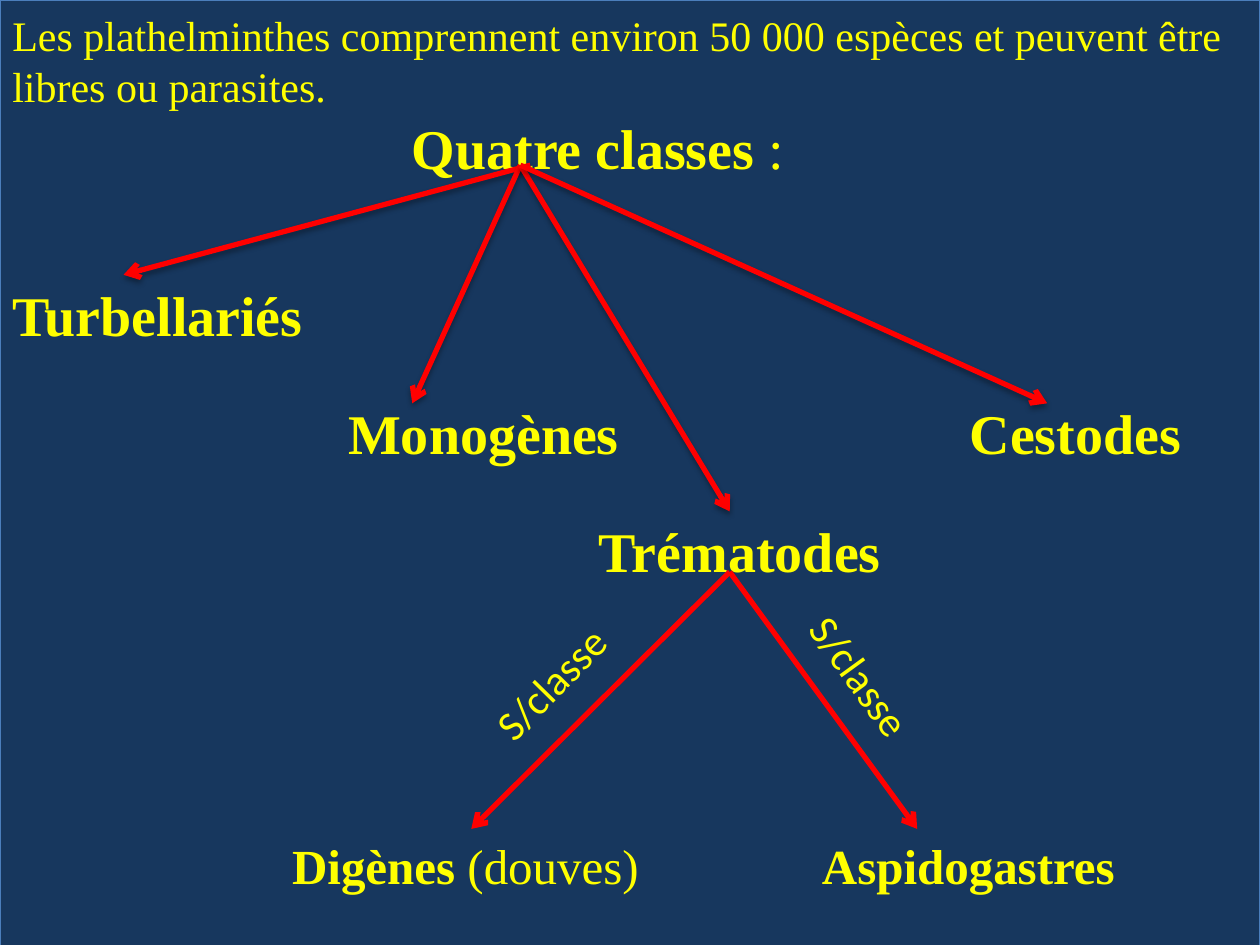
from lxml.etree import SubElement
from pptx import Presentation
from pptx.dml.color import RGBColor
from pptx.enum.shapes import MSO_CONNECTOR, MSO_SHAPE
from pptx.enum.text import MSO_ANCHOR, PP_ALIGN
from pptx.oxml.ns import qn
from pptx.util import Cm, Pt

NAVY, EDGE, RED, YELLOW = "17375E", "4B7EBC", "FF0000", "FFFF00"
SERIF = "Times New Roman"


def paint(color, code):
    color.rgb = RGBColor.from_string(code)


def assign(item, values):
    for name, value in values.items():
        setattr(item, name, value)


class Deck:
    """Holds the text style and the current slide."""

    def __init__(self, prs):
        self.slide = prs.slides.add_slide(prs.slide_layouts[6])
        self.shapes = self.slide.shapes
        fill = self.slide.background.fill
        fill.solid()
        paint(fill.fore_color, NAVY)

    def letter(self, frame, runs, size, face=SERIF):
        """Fill the frame with one paragraph of (text, bold) runs."""
        para = frame.paragraphs[0]
        para.alignment = PP_ALIGN.LEFT
        for text, bold in runs:
            run = para.add_run()
            run.text = text
            assign(run.font, {"size": Pt(size), "bold": bold, "name": face})
            paint(run.font.color, YELLOW)

    def panel(self, width, height, text):
        box = self.shapes.add_shape(MSO_SHAPE.RECTANGLE, 0, 0, width, height)
        box.shadow.inherit = False
        box.fill.solid()
        paint(box.fill.fore_color, NAVY)
        paint(box.line.color, EDGE)
        box.line.width = Pt(0.75)
        assign(box.text_frame, {"word_wrap": True, "margin_top": Cm(0.2),
                                "vertical_anchor": MSO_ANCHOR.TOP})
        self.letter(box.text_frame, [(text, False)], 24)

    def label(self, left, top, width, size, *runs):
        box = self.shapes.add_textbox(Cm(left), Cm(top), Cm(width), Cm(1.3))
        assign(box.text_frame, {"word_wrap": True, "margin_left": 0, "margin_right": 0,
                                "margin_top": 0, "margin_bottom": 0})
        self.letter(box.text_frame, runs, size)

    def tilt(self, left, top, angle, text):
        """Add a rotated caption beside an arrow."""
        box = self.shapes.add_textbox(Cm(left), Cm(top), Cm(3.6), Cm(1.28))
        box.rotation = angle
        box.text_frame.word_wrap = True
        self.letter(box.text_frame, [(text, False)], 24, "Calibri")

    def arrow(self, start, end, shade=False):
        ends = [Cm(value) for value in (*start, *end)]
        link = self.shapes.add_connector(MSO_CONNECTOR.STRAIGHT, *ends)
        link.line.width = Pt(3)
        paint(link.line.color, RED)
        props = link.element.spPr
        SubElement(props.find(qn("a:ln")), qn("a:tailEnd"), type="arrow")
        effects = SubElement(props, qn("a:effectLst"))
        if shade:
            drop = SubElement(effects, qn("a:outerShdw"), blurRad="40000",
                              dist="23000", dir="5400000", rotWithShape="0")
            black = SubElement(drop, qn("a:srgbClr"), val="000000")
            SubElement(black, qn("a:alpha"), val="35000")


def main():
    prs = Presentation()
    assign(prs, {"slide_width": Cm(25.4), "slide_height": Cm(19.05)})
    deck = Deck(prs)
    deck.panel(prs.slide_width, Cm(19.23),
               "Les plathelminthes comprennent environ 50 000 espèces "
               "et peuvent être libres ou parasites.")

    first, step = 5.66, 2.38
    deck.label(8.3, 2.28, 7.8, 32, ("Quatre classes", True), (" :", False))
    for name, left, row, width in (("Turbellariés", 0.25, 0, 6.2),
                                   ("Monogènes", 7.02, 1, 5.8),
                                   ("Cestodes", 19.55, 1, 4.8),
                                   ("Trématodes", 12.07, 2, 6.2)):
        deck.label(left, first + row * step, width, 32, (name, True))
    deck.label(5.89, 16.84, 7.4, 28, ("Digènes", True), (" (douves)", False))
    deck.label(16.57, 16.84, 6.4, 28, ("Aspidogastres", True))

    for x in (9.5, 18.49):
        deck.arrow((14.71, 11.53), (x, 16.71))
    deck.arrow((10.69, 3.33), (2.49, 5.54), True)
    for end in ((8.31, 8.13), (14.71, 10.31), (21.11, 8.13)):
        deck.arrow((10.49, 3.33), end, True)

    deck.tilt(15.65, 13.13, 54, "S/classe")
    deck.tilt(9.42, 13, 314.5, "S/classe")
    prs.save("out.pptx")


if __name__ == "__main__":
    main()
